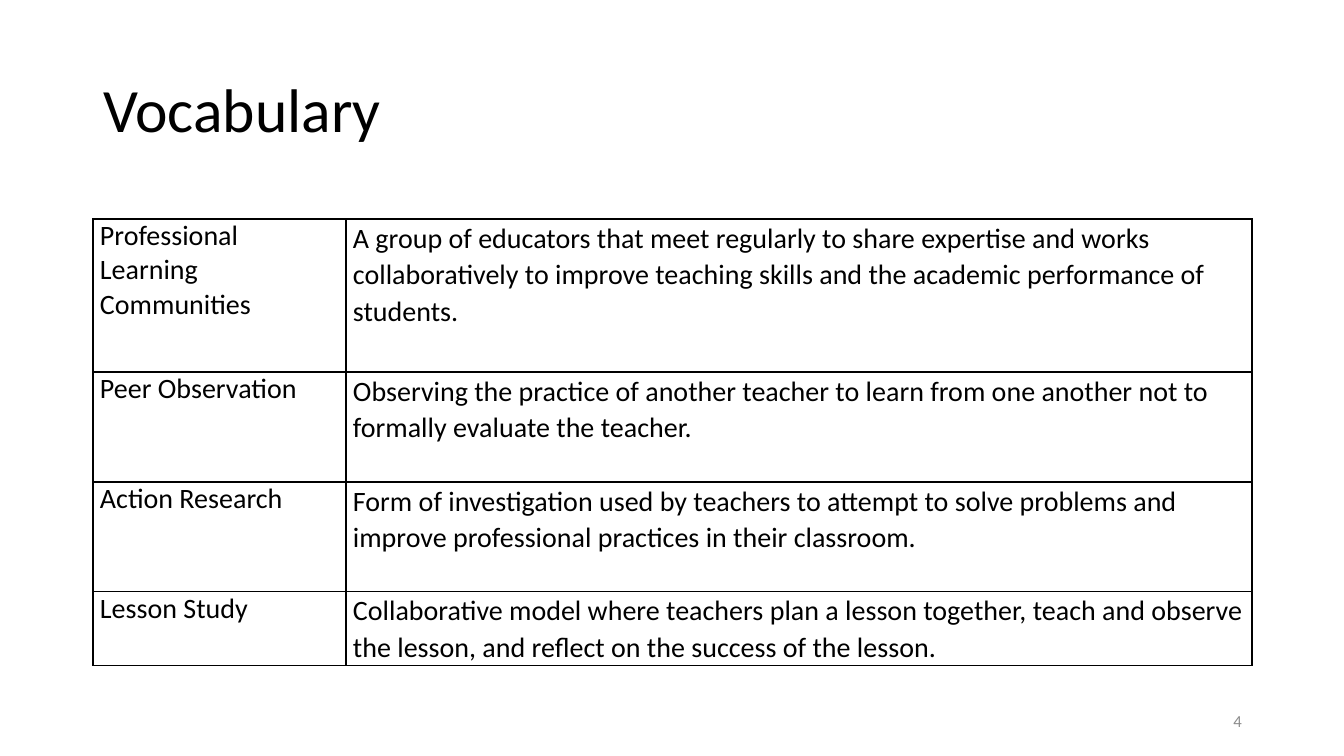
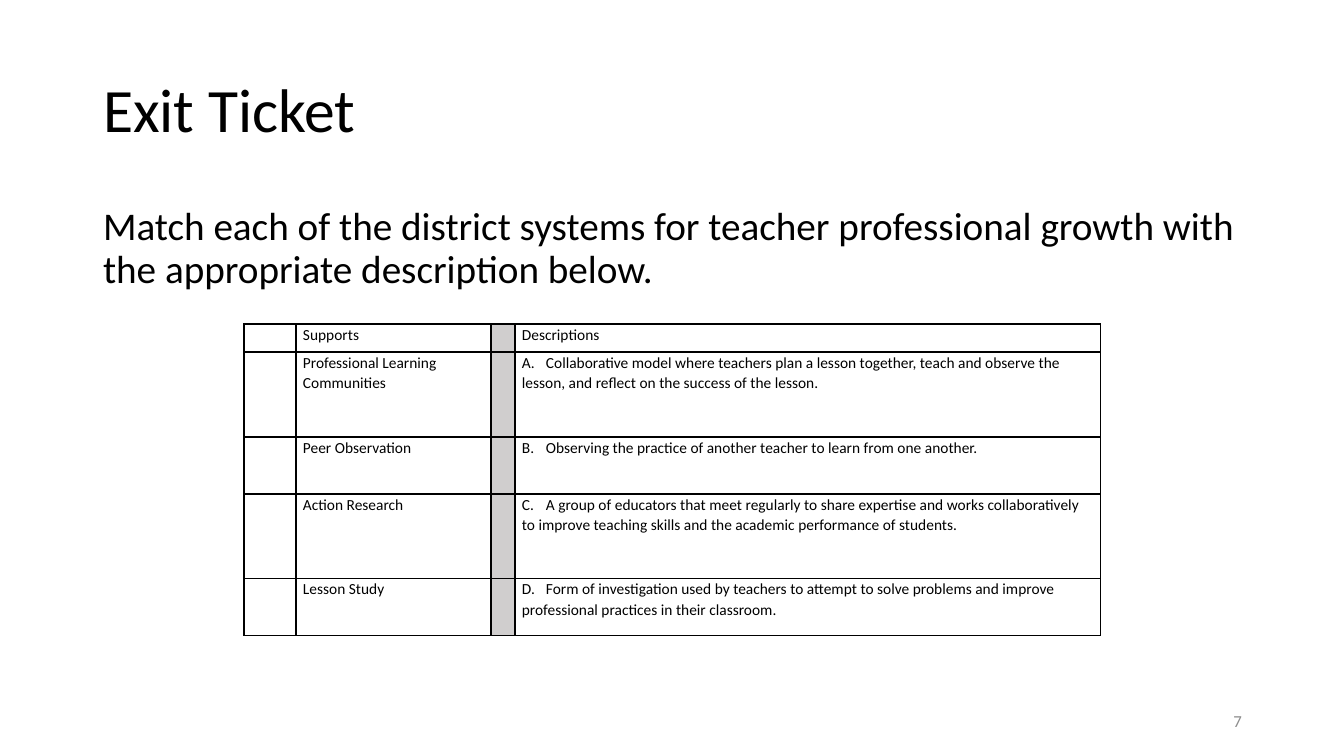
import pptx
import pptx.util
import pptx.dml.color
import pptx.enum.text
from lxml import etree
from pptx.oxml.ns import qn

EMU_PER_PX = 914400 / 100.8
FONT = "Calibri"
COLORS = {"ink": "000000", "divider": "D0CECE", "number": "8C8C8C"}
TITLE_ONLY, TITLE_AND_BODY = 5, 1

SLIDES = [
    {
        "title": "Vocabulary",
        "layout": TITLE_ONLY,
        "body": None,
        "number": "4",
        "origin": (93, 219),
        "columns": [253, 906],
        "rows": [153, 110, 110, 74],
        "size": 20,
        "spacings": [1.0, 1.07],
        "divider": None,
        "cells": [
            ["Professional Learning Communities",
             "A group of educators that meet regularly to share expertise and works "
             "collaboratively to improve teaching skills and the academic performance of students."],
            ["Peer Observation",
             "Observing the practice of another teacher to learn from one another not to "
             "formally evaluate the teacher."],
            ["Action Research",
             "Form of investigation used by teachers to attempt to solve problems and "
             "improve professional practices in their classroom."],
            ["Lesson Study",
             "Collaborative model where teachers plan a lesson together, teach and observe "
             "the lesson, and reflect on the success of the lesson."],
        ],
    },
    {
        "title": "Exit Ticket",
        "layout": TITLE_AND_BODY,
        "body": "Match each of the district systems for teacher professional growth with "
                "the appropriate description below.",
        "number": "7",
        "origin": (244, 324),
        "columns": [52, 195, 24, 586],
        "rows": [28, 85, 57, 85, 57],
        "size": 11,
        "spacings": [1.07] * 4,
        "divider": 2,
        "cells": [
            ["", "Supports", "", "Descriptions"],
            ["", "Professional Learning Communities", "",
             "A.\tCollaborative model where teachers plan a lesson together, teach and observe "
             "the lesson, and reflect on the success of the lesson."],
            ["", "Peer Observation", "",
             "B.\tObserving the practice of another teacher to learn from one another."],
            ["", "Action Research", "",
             "C.\tA group of educators that meet regularly to share expertise and works "
             "collaboratively to improve teaching skills and the academic performance of students."],
            ["", "Lesson Study", "",
             "D.\tForm of investigation used by teachers to attempt to solve problems and "
             "improve professional practices in their classroom."],
        ],
    },
]

TEXT_STYLES = {
    "title": {"box": (93, 40, 1159, 146), "size": 44, "color": "ink", "spacing": 0.9,
              "align": "LEFT", "anchor": "MIDDLE"},
    "body": {"box": (93, 202, 1159, 480), "size": 28, "color": "ink", "spacing": 0.9,
             "align": "LEFT", "anchor": "TOP"},
    "number": {"box": (950, 701, 302, 40), "size": 12, "color": "number", "spacing": 1.0,
               "align": "RIGHT", "anchor": "MIDDLE"},
}


def px(length):
    """Turn px into EMU."""
    return pptx.util.Emu(round(length * EMU_PER_PX))


def write_text(shape, text, style):
    """Place a text shape and fill it with one formatted paragraph."""
    for name, length in zip(("left", "top", "width", "height"), style["box"]):
        setattr(shape, name, px(length))
    frame = shape.text_frame
    frame.text = text
    frame.word_wrap = True
    frame.auto_size = pptx.enum.text.MSO_AUTO_SIZE.NONE
    frame.vertical_anchor = pptx.enum.text.MSO_ANCHOR[style["anchor"]]
    paragraph = frame.paragraphs[0]
    properties = paragraph._p.get_or_add_pPr()
    properties.set("marL", "0")
    properties.set("indent", "0")
    etree.SubElement(properties, qn("a:buNone"))
    paragraph.alignment = pptx.enum.text.PP_ALIGN[style["align"]]
    paragraph.line_spacing = style["spacing"]
    paragraph.space_before = pptx.util.Pt(0)
    font = paragraph.runs[0].font
    font.name = FONT
    font.size = pptx.util.Pt(style["size"])
    font.color.rgb = pptx.dml.color.RGBColor.from_string(COLORS[style["color"]])


presentation = pptx.Presentation()
presentation.slide_width = px(1344)
presentation.slide_height = px(756)

for content in SLIDES:
    slide = presentation.slides.add_slide(presentation.slide_layouts[content["layout"]])
    write_text(slide.shapes.title, content["title"], TEXT_STYLES["title"])
    if content["body"]:
        write_text(slide.placeholders[1], content["body"], TEXT_STYLES["body"])

    columns, rows = content["columns"], content["rows"]
    left, top = content["origin"]
    table = slide.shapes.add_table(len(rows), len(columns), px(left), px(top),
                                   px(sum(columns)), px(sum(rows))).table
    table.first_row = table.horz_banding = False
    for column, width in zip(table.columns, columns):
        column.width = px(width)
    for row, height in zip(table.rows, rows):
        row.height = px(height)

    for row_index, texts in enumerate(content["cells"]):
        for column_index, text in enumerate(texts):
            cell = table.cell(row_index, column_index)
            cell.margin_left = cell.margin_right = px(7)
            cell.margin_top = cell.margin_bottom = 0
            cell_properties = cell._tc.get_or_add_tcPr()
            for side in ("lnL", "lnR", "lnT", "lnB"):
                border = etree.SubElement(cell_properties, qn("a:" + side), w="12700")
                border_fill = etree.SubElement(border, qn("a:solidFill"))
                etree.SubElement(border_fill, qn("a:srgbClr"), val=COLORS["ink"])
            if column_index == content["divider"]:
                cell.fill.solid()
                cell.fill.fore_color.rgb = pptx.dml.color.RGBColor.from_string(COLORS["divider"])
            else:
                cell.fill.background()

            cell.text = text
            paragraph = cell.text_frame.paragraphs[0]
            if "\t" in text:
                tabs = etree.SubElement(paragraph._p.get_or_add_pPr(), qn("a:tabLst"))
                etree.SubElement(tabs, qn("a:tab"), pos=str(px(24)), algn="l")
            paragraph.line_spacing = content["spacings"][column_index]
            for run in paragraph.runs:
                run.font.name = FONT
                run.font.size = pptx.util.Pt(content["size"])
                run.font.color.rgb = pptx.dml.color.RGBColor.from_string(COLORS["ink"])
            if not text:
                # An empty cell needs its own text size to keep the row low
                etree.SubElement(paragraph._p, qn("a:endParaRPr"), sz=str(content["size"] * 100))

    number_box = slide.shapes.add_textbox(0, 0, 0, 0)
    write_text(number_box, content["number"], TEXT_STYLES["number"])

presentation.save("out.pptx")
